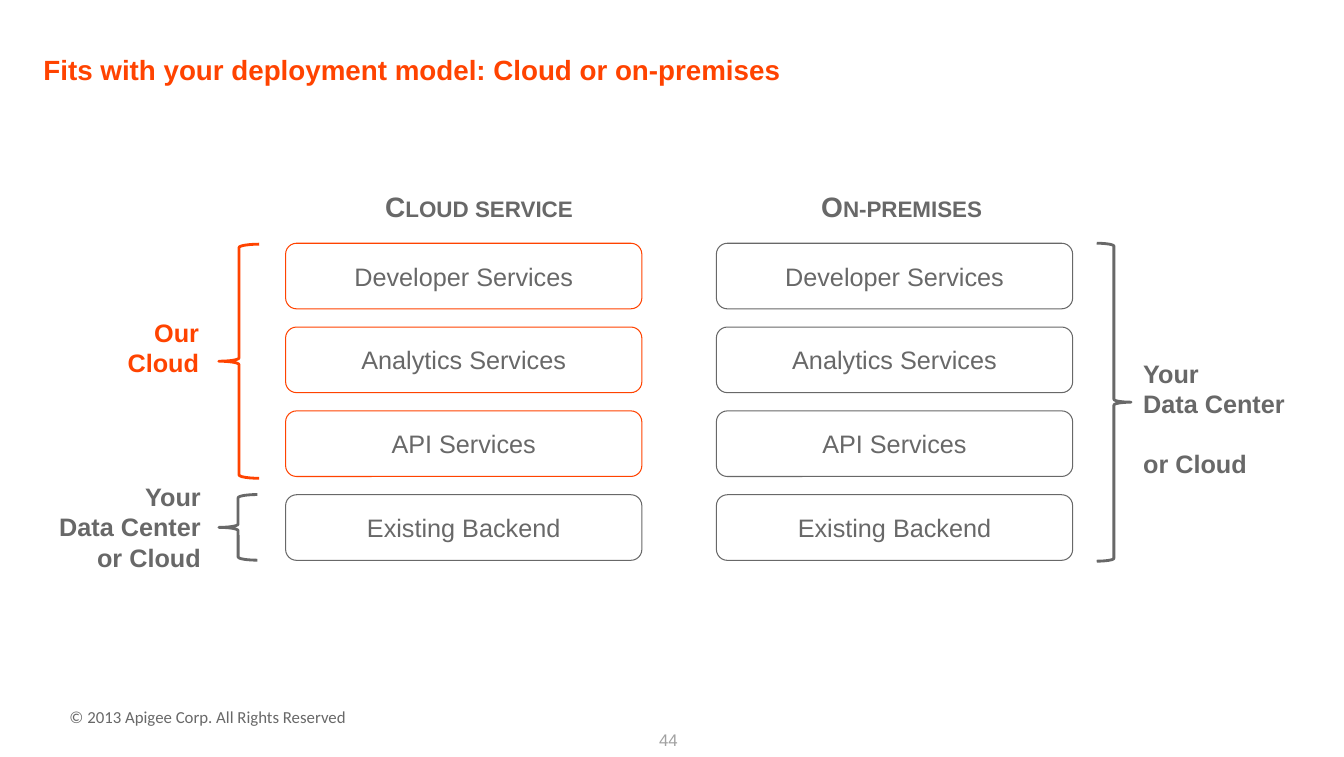
from dataclasses import dataclass

from pptx import Presentation
from pptx.dml.color import RGBColor
from pptx.enum import shapes, text
from pptx.util import Pt

ORANGE = RGBColor(0xFF, 0x43, 0x00)
GRAY = RGBColor(0x68, 0x68, 0x68)
LIGHT_GRAY = RGBColor(0xA1, 0xA1, 0xA1)

LEFT = text.PP_ALIGN.LEFT
CENTER = text.PP_ALIGN.CENTER
RIGHT = text.PP_ALIGN.RIGHT

# Grid of service boxes, in points
ROW_TOP, ROW_PITCH, BOX_WIDTH, BOX_HEIGHT = 173.5, 59.8, 254.2, 46.8
SERVICES = ("Developer Services", "Analytics Services", "API Services", "Existing Backend")


@dataclass
class Area:
    left: float
    top: float
    width: float
    height: float

    def points(self) -> tuple:
        return Pt(self.left), Pt(self.top), Pt(self.width), Pt(self.height)


@dataclass
class Label:
    wording: str
    area: Area
    size: float = 18
    color: RGBColor = GRAY
    bold: bool = True
    align: text.PP_ALIGN = LEFT
    font: str = "Arial"
    wrap: bool = False
    anchor: text.MSO_ANCHOR = text.MSO_ANCHOR.TOP
    small_caps: bool = False
    last_space: float = 0


@dataclass
class Column:
    left: float
    outlines: tuple


@dataclass
class Brace:
    kind: shapes.MSO_SHAPE
    area: Area
    color: RGBColor


COLUMNS = (
    Column(203.8, (ORANGE, ORANGE, ORANGE, GRAY)),
    Column(511.2, (GRAY,) * 4),
)

BRACES = (
    Brace(shapes.MSO_SHAPE.RIGHT_BRACE, Area(782.6, 173.5, 24.5, 226.8), GRAY),
    Brace(shapes.MSO_SHAPE.LEFT_BRACE, Area(156.2, 174.2, 28.8, 167), ORANGE),
    Brace(shapes.MSO_SHAPE.LEFT_BRACE, Area(156.2, 352.8, 27.4, 46.8), GRAY),
)

LABELS = (
    Label("© 2013 Apigee Corp. All Rights Reserved", Area(42.5, 500.4, 214.6, 21.6),
          size=12, bold=False, font="Calibri"),
    Label("44", Area(365, 513.4, 223.9, 28.8), size=12, color=LIGHT_GRAY, bold=False,
          align=CENTER, wrap=True, anchor=text.MSO_ANCHOR.MIDDLE),
    Label("Your\nData Center\nor Cloud", Area(808.6, 252, 116.6, 72.7), last_space=21),
    Label("Your\nData Center\nor Cloud", Area(33.8, 339.8, 116.6, 72.7), align=RIGHT),
    Label("Our\vCloud", Area(34.6, 222.5, 114.5, 51.1), color=ORANGE, align=RIGHT, wrap=True),
    Label("Cloud service", Area(267.8, 131.8, 151.2, 31.7), size=20, small_caps=True),
    Label("On-premises", Area(578.9, 131.8, 132.5, 31.7), size=20, small_caps=True),
)


def write(shape, label: Label) -> None:
    frame = shape.text_frame
    frame.text = label.wording
    frame.word_wrap = label.wrap
    frame.auto_size = text.MSO_AUTO_SIZE.NONE
    frame.vertical_anchor = label.anchor
    for paragraph in frame.paragraphs:
        paragraph.alignment = label.align
        for run in paragraph.runs:
            run.font.name = label.font
            run.font.size = Pt(label.size)
            run.font.bold = label.bold
            run.font.color.rgb = label.color
            if label.small_caps:
                run._r.get_or_add_rPr().set("cap", "small")
    if label.last_space:
        frame.paragraphs[-1].space_before = Pt(label.last_space)


def add_outline(slide, kind: shapes.MSO_SHAPE, area: Area, color: RGBColor, weight: float):
    shape = slide.shapes.add_shape(kind, *area.points())
    shape.shadow.inherit = False
    shape.fill.background()
    shape.line.color.rgb = color
    shape.line.width = Pt(weight)
    return shape


def main() -> None:
    presentation = Presentation()
    presentation.slide_width, presentation.slide_height = Pt(959), Pt(540)
    slide = presentation.slides.add_slide(presentation.slide_layouts[5])

    # Title
    title = slide.shapes.title
    area = Area(23.8, 35.3, 805.7, 28.8)
    title.left, title.top, title.width, title.height = area.points()
    write(title, Label("Fits with your deployment model: Cloud or on-premises", area,
                       size=19.8, color=ORANGE, wrap=True, anchor=text.MSO_ANCHOR.MIDDLE))

    # Service boxes
    for column in COLUMNS:
        for row, (service, color) in enumerate(zip(SERVICES, column.outlines)):
            area = Area(column.left, ROW_TOP + row * ROW_PITCH, BOX_WIDTH, BOX_HEIGHT)
            box = add_outline(slide, shapes.MSO_SHAPE.ROUNDED_RECTANGLE, area, color, 0.75)
            write(box, Label(service, area, bold=False, align=CENTER, wrap=True,
                             anchor=text.MSO_ANCHOR.MIDDLE))

    # Braces
    for brace in BRACES:
        add_outline(slide, brace.kind, brace.area, brace.color, 2)

    # Headings, side labels and footer
    for label in LABELS:
        write(slide.shapes.add_textbox(*label.area.points()), label)

    presentation.save("out.pptx")


if __name__ == "__main__":
    main()
